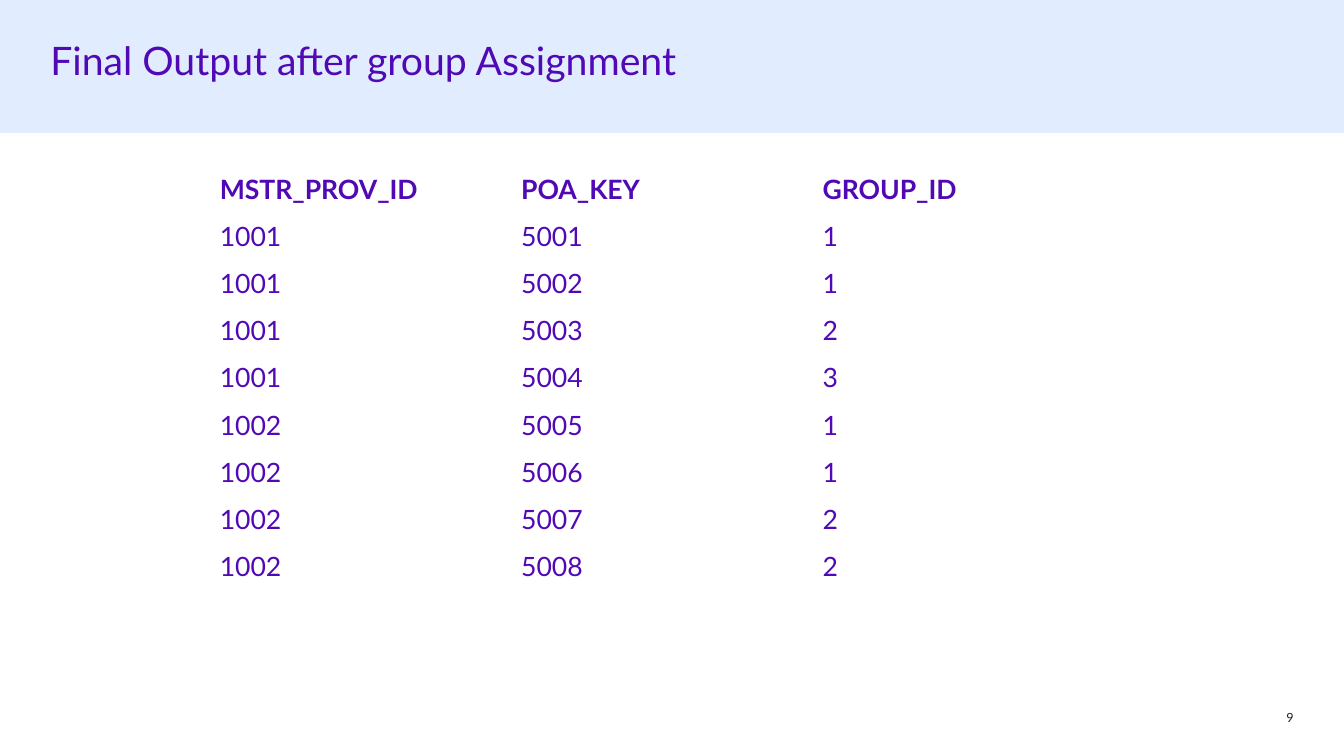
from pptx import Presentation
from pptx.dml.color import RGBColor
from pptx.enum.shapes import MSO_SHAPE
from pptx.enum.text import MSO_ANCHOR, PP_ALIGN
from pptx.util import Pt

# Content
TITLE = "Final Output after group Assignment"
PAGE = "9"
HEADER = ("MSTR_PROV_ID", "POA_KEY", "GROUP_ID")
ROWS = [
    ("1001", "5001", "1"),
    ("1001", "5002", "1"),
    ("1001", "5003", "2"),
    ("1001", "5004", "3"),
    ("1002", "5005", "1"),
    ("1002", "5006", "1"),
    ("1002", "5007", "2"),
    ("1002", "5008", "2"),
]

THEME = {
    "font": "Lato",
    "purple": RGBColor.from_string("5009B5"),
    "dark": RGBColor.from_string("231E33"),
    "band": RGBColor.from_string("E1EDFF"),
    "title": 28, "cell": 19, "page": 9,
}

# Layout, in points
SLIDE_W, SLIDE_H = 960, 540
BAND_H = 95
TABLE_X, TABLE_Y = 157, 118
COL_W, ROW_H = 215.3, 33.75


def style(p, size, color, bold=False):
    p.font.name = THEME["font"]
    p.font.size = Pt(THEME[size])
    p.font.color.rgb = THEME[color]
    p.font.bold = bold


def add_text(s, text, box, size, color, anchor=MSO_ANCHOR.TOP, align=PP_ALIGN.LEFT):
    tf = s.shapes.add_textbox(*map(Pt, box)).text_frame
    tf.word_wrap = True
    tf.margin_left = tf.margin_right = tf.margin_top = tf.margin_bottom = 0
    tf.vertical_anchor = anchor
    p = tf.paragraphs[0]
    p.text = text
    p.alignment = align
    style(p, size, color)
    return p


def add_grid(s, rows):
    n_rows, n_cols = len(rows), len(rows[0])
    table = s.shapes.add_table(n_rows, n_cols, Pt(TABLE_X), Pt(TABLE_Y),
                               Pt(COL_W * n_cols), Pt(ROW_H * n_rows)).table
    table.first_row = table.horz_banding = False
    for i, row in enumerate(rows):
        for j, text in enumerate(row):
            cell = table.cell(i, j)
            cell.fill.background()
            cell.margin_left = cell.margin_right = 0
            cell.margin_top = cell.margin_bottom = 0
            cell.vertical_anchor = MSO_ANCHOR.MIDDLE
            p = cell.text_frame.paragraphs[0]
            p.text = text
            style(p, "cell", "purple", bold=i == 0)


def main():
    prs = Presentation()
    prs.slide_width, prs.slide_height = Pt(SLIDE_W), Pt(SLIDE_H)
    s = prs.slides.add_slide(prs.slide_layouts[6])

    # Title band
    band = s.shapes.add_shape(MSO_SHAPE.RECTANGLE, 0, 0, Pt(SLIDE_W), Pt(BAND_H))
    band.shadow.inherit = False
    band.fill.solid()
    band.fill.fore_color.rgb = THEME["band"]
    band.line.fill.background()

    # Page number and title
    add_text(s, PAGE, (894, 507, 30, 11), "page", "dark",
             MSO_ANCHOR.BOTTOM, PP_ALIGN.RIGHT)
    title = add_text(s, TITLE, (36, 30, 888, 65), "title", "purple")
    title.line_spacing = 0.9

    # Group assignment table
    add_grid(s, [HEADER] + ROWS)

    prs.save("out.pptx")


if __name__ == "__main__":
    main()
